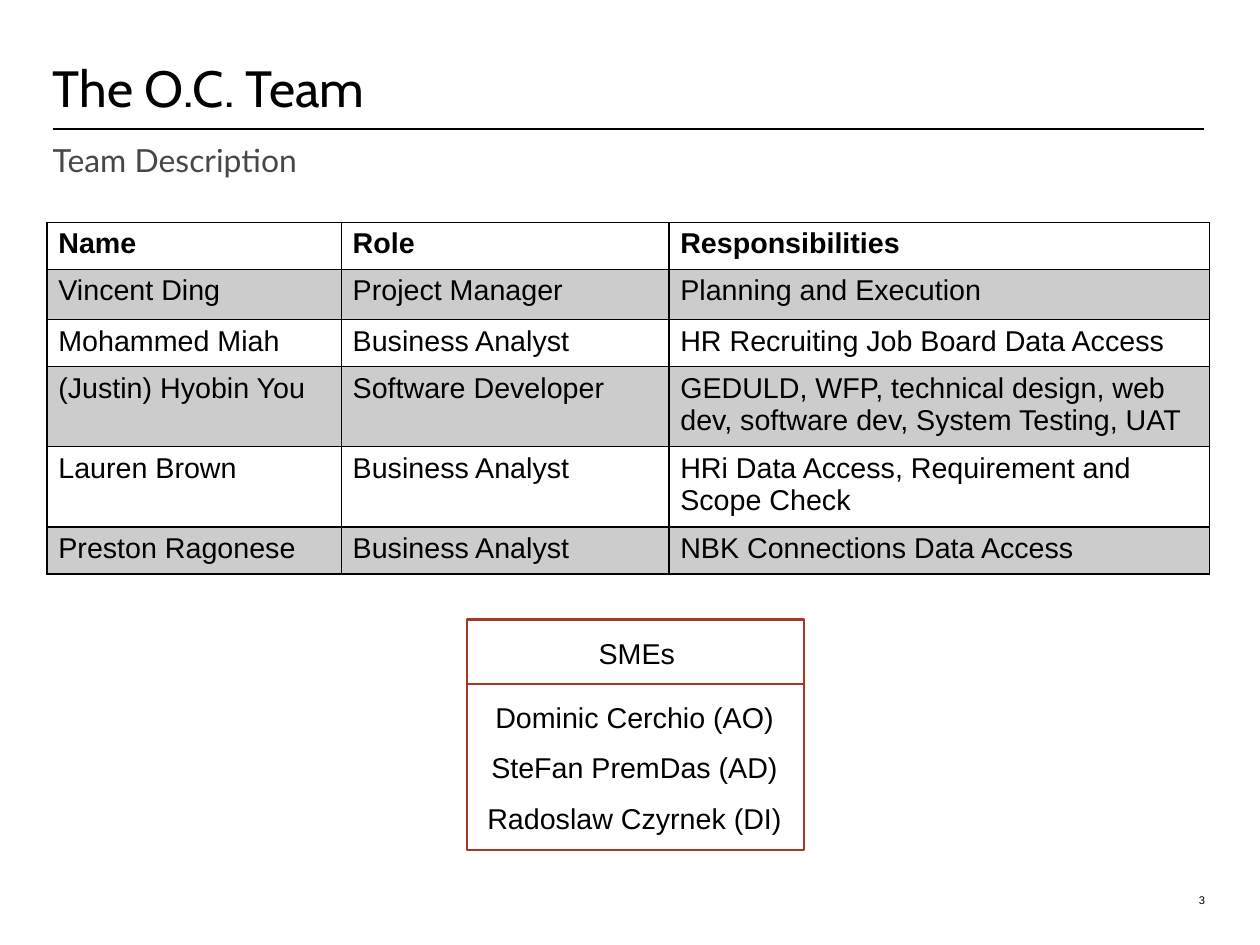
from lxml import etree
from pptx import Presentation
from pptx.dml.color import RGBColor
from pptx.enum.shapes import MSO_CONNECTOR, MSO_SHAPE
from pptx.enum.text import MSO_ANCHOR, PP_ALIGN
from pptx.oxml.ns import qn
from pptx.util import Inches, Pt

LEFT, CENTER, RIGHT = PP_ALIGN.LEFT, PP_ALIGN.CENTER, PP_ALIGN.RIGHT
TOP, BOTTOM = MSO_ANCHOR.TOP, MSO_ANCHOR.BOTTOM
BLACK = RGBColor(0x00, 0x00, 0x00)
WHITE = RGBColor(0xFF, 0xFF, 0xFF)
BAND = RGBColor(0xCC, 0xCC, 0xCC)
SLATE = RGBColor(0x46, 0x47, 0x49)
RUST = RGBColor(0xA4, 0x37, 0x25)

TITLE = "The O.C. Team"
SUBTITLE = "Team Description"
PAGE = "3"
TEAM = [
    ("Name", "Role", "Responsibilities"),
    ("Vincent Ding", "Project Manager", "Planning and Execution"),
    ("Mohammed Miah", "Business Analyst", "HR Recruiting Job Board Data Access"),
    ("(Justin) Hyobin You", "Software Developer",
     "GEDULD, WFP, technical design, web dev, software dev, System Testing, UAT"),
    ("Lauren Brown", "Business Analyst", "HRi Data Access, Requirement and Scope Check"),
    ("Preston Ragonese", "Business Analyst", "NBK Connections Data Access"),
]
COL_WIDTHS = (2.57, 2.86, 4.72)
ROW_HEIGHTS = (0.41, 0.44, 0.41, 0.41, 0.41, 0.41)
SME_TITLE = "SMEs"
SMES = ["Dominic Cerchio (AO)", "SteFan PremDas (AD)", "Radoslaw Czyrnek (DI)"]

MARGIN, CONTENT_W = 0.46, 10.05
BOX_X, BOX_Y, BOX_W, BOX_H = 4.08, 5.41, 2.94, 2.01
BODY = {"name": "Arial", "size": Pt(18), "color": BLACK}


def set_font(font, fmt):
    for key, value in fmt.items():
        if key == "color":
            font.color.rgb = value
        else:
            setattr(font, key, value)


def add_text(s, box, lines, fmt, align=LEFT, anchor=TOP, line_spacing=None):
    tf = s.shapes.add_textbox(*map(Inches, box)).text_frame
    tf.word_wrap = True
    tf.vertical_anchor = anchor
    tf.margin_left = tf.margin_right = tf.margin_top = tf.margin_bottom = 0
    for i, line in enumerate(lines):
        p = tf.add_paragraph() if i else tf.paragraphs[0]
        p.alignment = align
        p.line_spacing = line_spacing
        if i:
            p.space_before = Pt(10)
        r = p.add_run()
        r.text = line
        set_font(r.font, fmt)


def add_line(s, x1, x2, y, color, width):
    line = s.shapes.add_connector(MSO_CONNECTOR.STRAIGHT, *map(Inches, (x1, y, x2, y)))
    line.line.color.rgb = color
    line.line.width = Pt(width)
    etree.SubElement(line._element.spPr, qn("a:effectLst"))


def set_borders(cell, color, width):
    tcPr = cell._tc.get_or_add_tcPr()
    for i, side in enumerate(("lnL", "lnR", "lnT", "lnB")):
        ln = etree.Element(qn("a:" + side), w=str(Pt(width)))
        fill = etree.SubElement(ln, qn("a:solidFill"))
        etree.SubElement(fill, qn("a:srgbClr"), val=str(color))
        tcPr.insert(i, ln)


def add_team_table(s):
    box = (0.41, 1.94, sum(COL_WIDTHS), sum(ROW_HEIGHTS))
    table = s.shapes.add_table(len(TEAM), len(COL_WIDTHS), *map(Inches, box)).table
    table.first_row = table.horz_banding = False
    for column, width in zip(table.columns, COL_WIDTHS):
        column.width = Inches(width)
    for i, (row, height) in enumerate(zip(table.rows, ROW_HEIGHTS)):
        row.height = Inches(height)
        for cell, text in zip(row.cells, TEAM[i]):
            r = cell.text_frame.paragraphs[0].add_run()
            r.text = text
            set_font(r.font, {**BODY, "bold": i == 0})
            cell.fill.solid()
            cell.fill.fore_color.rgb = BAND if i % 2 else WHITE
            set_borders(cell, BLACK, 1)


def add_sme_box(s):
    sp = s.shapes.add_shape(MSO_SHAPE.RECTANGLE, *map(Inches, (BOX_X, BOX_Y, BOX_W, BOX_H)))
    sp.shadow.inherit = False
    sp.fill.solid()
    sp.fill.fore_color.rgb = WHITE
    sp.line.color.rgb = RUST
    sp.line.width = Pt(1.5)
    add_text(s, (BOX_X + 0.01, 5.55, BOX_W, 0.4), [SME_TITLE], BODY, CENTER)
    add_line(s, BOX_X + BOX_W, BOX_X, 5.97, RUST, 1.5)
    add_text(s, (4.16, 6.11, 2.76, 1.3), SMES, BODY, CENTER)


def main():
    prs = Presentation()
    prs.slide_width, prs.slide_height = Inches(11), Inches(8.25)
    s = prs.slides.add_slide(prs.slide_layouts[6])
    add_text(s, (MARGIN, 0, CONTENT_W, 1.03), [TITLE],
             {"name": "Cabin", "size": Pt(32), "color": BLACK},
             anchor=BOTTOM, line_spacing=Pt(32))
    add_line(s, MARGIN, MARGIN + CONTENT_W, 1.13, BLACK, 1.25)
    add_text(s, (MARGIN, 1.23, CONTENT_W, 0.3), [SUBTITLE],
             {"name": "Lato", "size": Pt(20), "color": SLATE})
    add_team_table(s)
    add_sme_box(s)
    add_text(s, (10.07, 7.5, 0.45, 0.42), [PAGE], {**BODY, "size": Pt(7)}, RIGHT, BOTTOM)
    prs.save("out.pptx")


if __name__ == "__main__":
    main()
